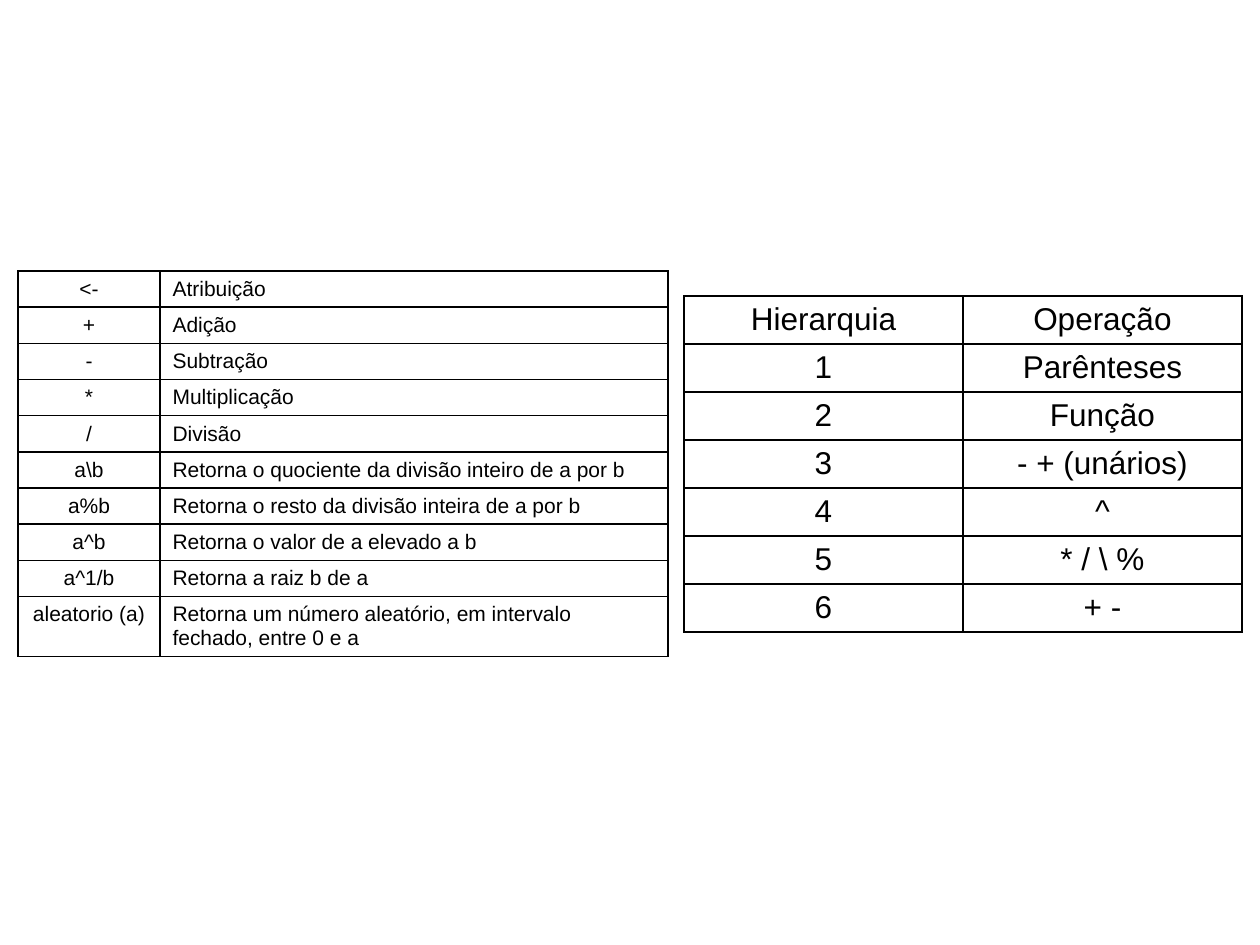
import pptx
import pptx.util
import pptx.dml.color
import pptx.enum.text
import pptx.oxml
import pptx.oxml.ns

PX = 914400 // 126
COLORS = {"ink": "000000", "paper": "FFFFFF"}
CENTER = pptx.enum.text.PP_ALIGN.CENTER
LEFT = pptx.enum.text.PP_ALIGN.LEFT

OPERATORS = [
    ("<-", "Atribuição"),
    ("+", "Adição"),
    ("-", "Subtração"),
    ("*", "Multiplicação"),
    ("/", "Divisão"),
    ("a\\b", "Retorna o quociente da divisão inteiro de a por b"),
    ("a%b", "Retorna o resto da divisão inteira de a por b"),
    ("a^b", "Retorna o valor de a elevado a b"),
    ("a^1/b", "Retorna a raiz b de a"),
    ("aleatorio (a)", "Retorna um número aleatório, em intervalo fechado, entre 0 e a"),
]
OPERATIONS = ["Parênteses", "Função", "- + (unários)", "^", "* / \\ %", "+ -"]
HIERARCHY = [("Hierarquia", "Operação")] + [
    (str(level), name) for level, name in enumerate(OPERATIONS, 1)
]


class Deck:
    font = "Arial"
    border = 1

    def __init__(self, width, height):
        self.prs = pptx.Presentation()
        self.prs.slide_width = pptx.util.Emu(width * PX)
        self.prs.slide_height = pptx.util.Emu(height * PX)
        self.s = None

    def color(self, name):
        return pptx.dml.color.RGBColor.from_string(COLORS[name])

    def slide(self):
        self.s = self.prs.slides.add_slide(self.prs.slide_layouts[6])
        self.s.background.fill.solid()
        self.s.background.fill.fore_color.rgb = self.color("paper")

    def borders(self, cell):
        tcPr = cell._tc.get_or_add_tcPr()
        for i, side in enumerate(("lnL", "lnR", "lnT", "lnB")):
            tcPr.insert(i, pptx.oxml.parse_xml(
                f'<a:{side} {pptx.oxml.ns.nsdecls("a")} w="{pptx.util.Pt(self.border)}">'
                f'<a:solidFill><a:srgbClr val="{COLORS["ink"]}"/></a:solidFill></a:{side}>'
            ))

    def table(self, x, y, widths, heights, rows, size, aligns):
        box = [v * PX for v in (x, y, sum(widths), sum(heights))]
        table = self.s.shapes.add_table(len(rows), len(widths), *box).table
        table.first_row = table.horz_banding = False
        for column, width in zip(table.columns, widths):
            column.width = width * PX
        for row, height, texts in zip(table.rows, heights, rows):
            row.height = height * PX
            for cell, text, align in zip(row.cells, texts, aligns):
                cell.fill.background()
                self.borders(cell)
                cell.text = text
                p = cell.text_frame.paragraphs[0]
                p.alignment = align
                p.font.name = self.font
                p.font.size = pptx.util.Pt(size)
                p.font.color.rgb = self.color("ink")

    def save(self):
        self.prs.save("out.pptx")


def main():
    deck = Deck(1260, 945)
    deck.slide()
    deck.table(18, 271, [142, 508], [36] * 9 + [60], OPERATORS, 12, [CENTER, LEFT])
    deck.table(684, 296, [279, 279], [48] * 7, HIERARCHY, 18, [CENTER, CENTER])
    deck.save()


if __name__ == "__main__":
    main()
